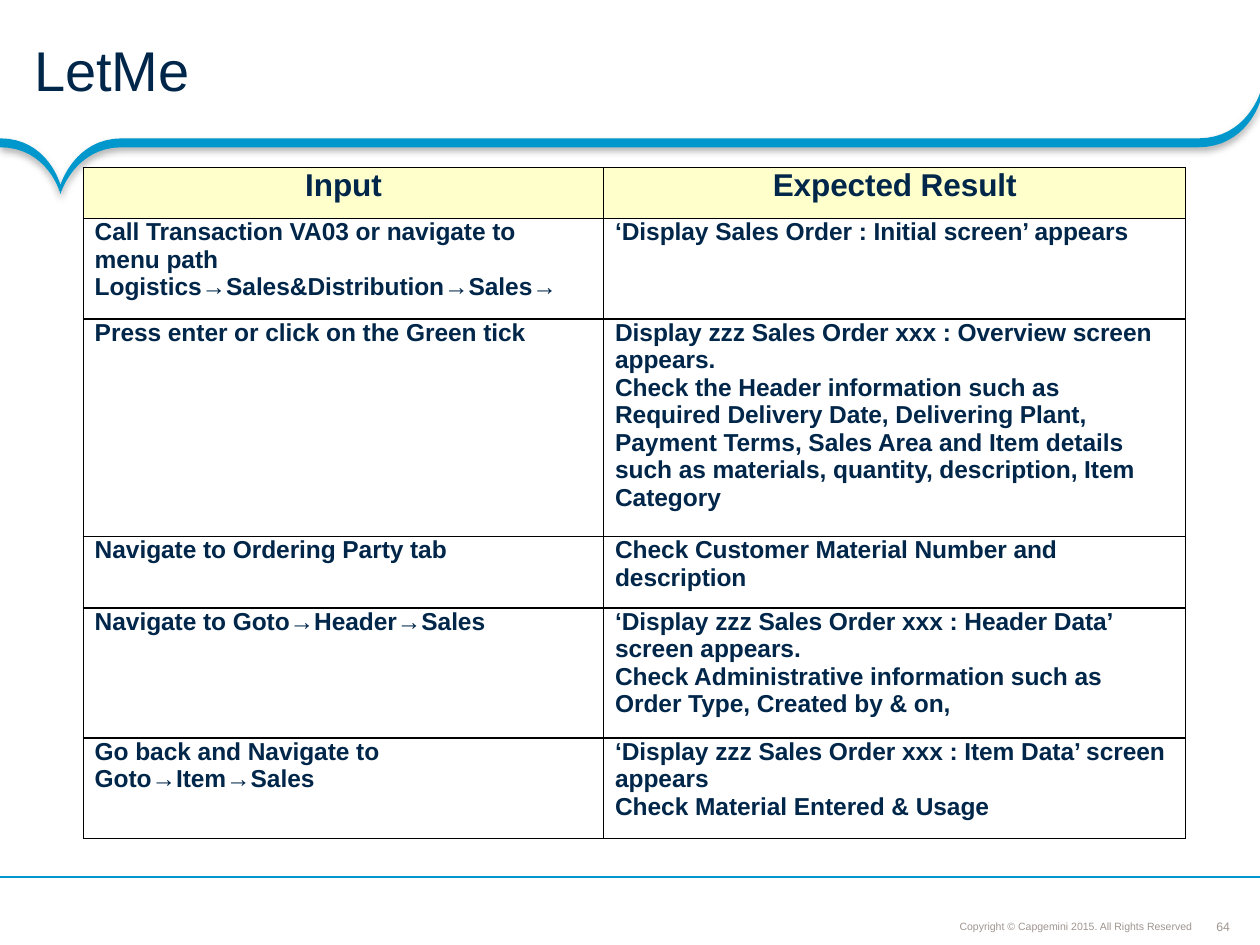
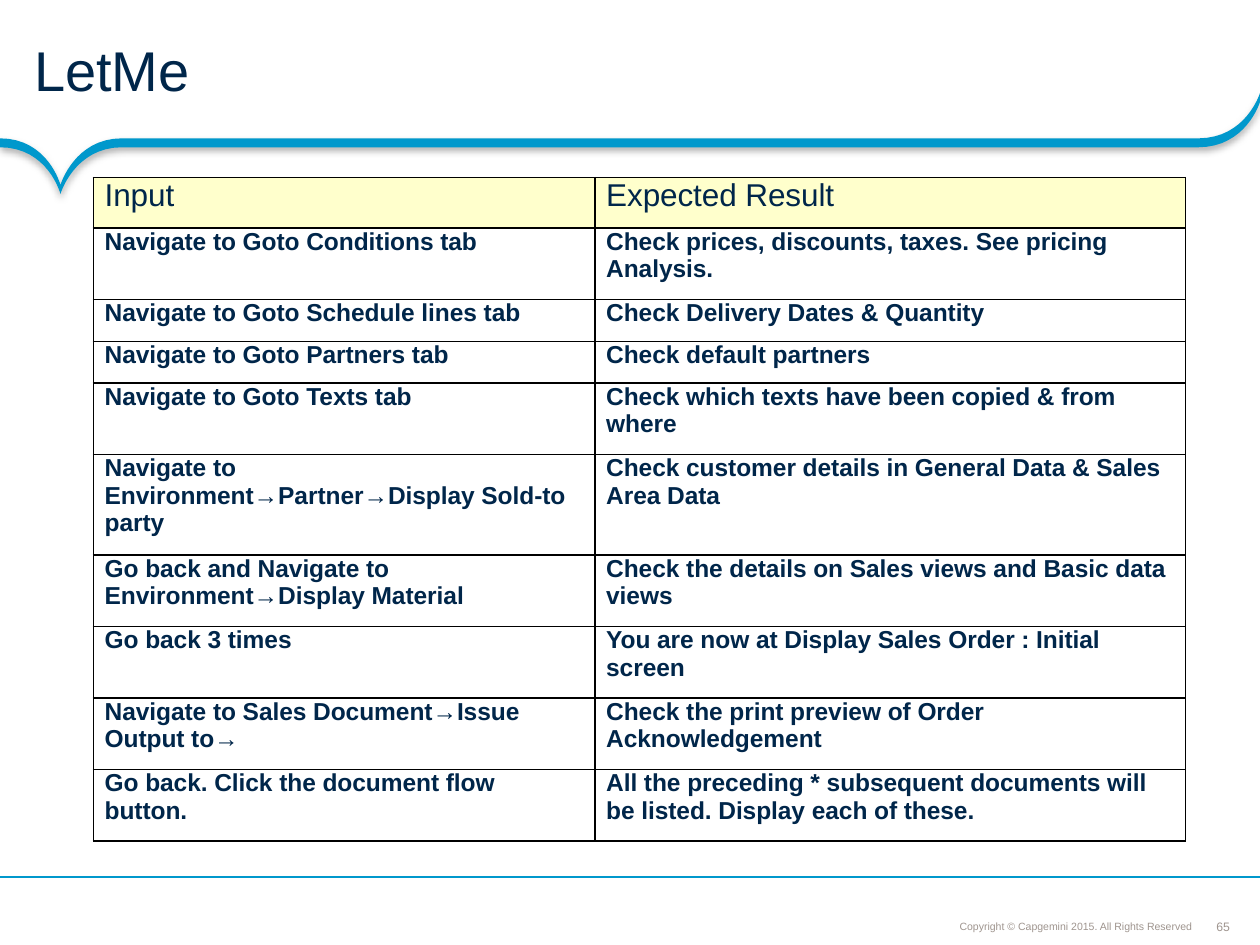
from dataclasses import dataclass

from lxml import etree
from pptx import Presentation
from pptx.dml.color import RGBColor
from pptx.enum.shapes import MSO_CONNECTOR
from pptx.enum.text import MSO_ANCHOR, PP_ALIGN
from pptx.oxml.ns import qn
from pptx.util import Cm, Pt

LEFT, CENTER, RIGHT = PP_ALIGN.LEFT, PP_ALIGN.CENTER, PP_ALIGN.RIGHT
MIDDLE, BOTTOM = MSO_ANCHOR.MIDDLE, MSO_ANCHOR.BOTTOM
STRAIGHT = MSO_CONNECTOR.STRAIGHT


@dataclass(frozen=True)
class Theme:
    font: str = "Arial"
    navy: str = "00264A"
    blue: str = "0098CC"
    grey: str = "9F958F"
    cream: str = "FFFFCC"
    black: str = "000000"
    title_size: float = 32
    header_size: float = 18
    body_size: float = 14
    number_size: float = 7
    footer_size: float = 6
    tracking: int = -5  # hundredths of a point
    border: float = 1


# Top edge of the title band, in cm: start, two controls, end of each curve
BAND_CURVES = [
    ((0, 2.79), (0.97, 2.79), (1.22, 3.73), (1.22, 3.73)),
    ((1.22, 3.73), (1.22, 3.73), (1.5, 2.79), (2.46, 2.79)),
    ((24.16, 2.79), (25.12, 2.79), (25.4, 1.88), (25.4, 1.88)),
]
BAND_THICKNESS = 0.18
CURVE_STEPS = 16


def curve_points(start, control1, control2, end):
    """Points along a cubic curve."""
    for step in range(CURVE_STEPS + 1):
        t = step / CURVE_STEPS
        weights = ((1 - t) ** 3, 3 * t * (1 - t) ** 2, 3 * t * t * (1 - t), t ** 3)
        corners = (start, control1, control2, end)
        yield tuple(sum(w * c[axis] for w, c in zip(weights, corners))
                    for axis in (0, 1))


class Deck:
    def __init__(self, theme):
        self.theme = theme
        self.prs = Presentation()
        self.prs.slide_width, self.prs.slide_height = Cm(25.4), Cm(19.05)
        self.slide = None

    def color(self, value):
        return RGBColor.from_string(value)

    # Text
    def add_text(self, paragraph, text, size, color, bold=False, align=LEFT):
        paragraph.alignment = align
        run = paragraph.add_run()
        run.text = text
        run.font.name = self.theme.font
        run.font.size = Pt(size)
        run.font.bold = bold
        run.font.color.rgb = self.color(color)
        return run

    def text_box(self, box, text, size, color, align=LEFT, anchor=MIDDLE,
                 wrap=True, margin=0, indent=0):
        frame = self.slide.shapes.add_textbox(*map(Cm, box)).text_frame
        frame.word_wrap = wrap
        frame.vertical_anchor = anchor
        frame.margin_top = frame.margin_bottom = frame.margin_right = Cm(margin)
        frame.margin_left = Cm(margin + indent)
        self.add_text(frame.paragraphs[0], text, size, color, align=align)
        return frame

    # Title band and footer rule
    def band(self):
        top = [p for curve in BAND_CURVES for p in curve_points(*curve)]
        bottom = [(x, y + BAND_THICKNESS) for x, y in reversed(top)]
        outline = [(Cm(x), Cm(y)) for x, y in top + bottom]
        builder = self.slide.shapes.build_freeform(*outline[0])
        builder.add_line_segments(outline[1:], close=True)
        band = builder.convert_to_shape()
        band.shadow.inherit = False
        band.fill.solid()
        band.fill.fore_color.rgb = self.color(self.theme.blue)
        band.line.fill.background()
        effects = band._element.spPr.find(qn("a:effectLst"))
        shadow = etree.SubElement(effects, qn("a:outerShdw"), blurRad=str(Pt(4)),
                                  dist=str(Pt(2)), dir="5400000", rotWithShape="0")
        tint = etree.SubElement(shadow, qn("a:srgbClr"), val=self.theme.black)
        etree.SubElement(tint, qn("a:alpha"), val="31000")

    def rule(self, y):
        rule = self.slide.shapes.add_connector(
            STRAIGHT, self.prs.slide_width, Cm(y), 0, Cm(y))
        rule.line.color.rgb = self.color(self.theme.blue)
        rule.line.width = Pt(0.75)
        etree.SubElement(rule._element.spPr, qn("a:effectLst"))

    # Slide frame
    def add_slide(self, title, number):
        theme = self.theme
        self.slide = self.prs.slides.add_slide(self.prs.slide_layouts[6])
        self.text_box((24.51, 18.52, 0.3, 0.3), str(number), theme.number_size,
                      theme.grey, CENTER, wrap=False)
        self.band()
        footer = self.text_box((17.3, 18.39, 6.83, 0.51),
                               "Copyright © Capgemini 2015. All Rights Reserved",
                               theme.footer_size, theme.grey, RIGHT, BOTTOM, margin=0.1)
        footer.paragraphs[0].line_spacing = 0.9
        self.rule(17.68)
        self.text_box((0, 0, 25.4, 2.79), title, theme.title_size, theme.navy,
                      indent=0.69)

    # Table
    def border_cell(self, cell):
        properties = cell._tc.get_or_add_tcPr()
        for position, side in enumerate(("a:lnL", "a:lnR", "a:lnT", "a:lnB")):
            line = etree.Element(qn(side), w=str(Pt(self.theme.border)))
            fill = etree.SubElement(line, qn("a:solidFill"))
            etree.SubElement(fill, qn("a:srgbClr"), val=self.theme.black)
            properties.insert(position, line)

    def fill_cell(self, cell, text, header, header_style):
        theme = self.theme
        cell.margin_top = cell.margin_bottom = 0
        cell.margin_left, cell.margin_right = Cm(0.23), Cm(0.38)
        if header:
            cell.fill.solid()
            cell.fill.fore_color.rgb = self.color(theme.cream)
            size, style = theme.header_size, header_style
            if style.get("align") == CENTER:
                cell.margin_right = cell.margin_left
        else:
            cell.fill.background()
            size, style = theme.body_size, {"bold": True}
        frame = cell.text_frame
        for index, line in enumerate(text.split("\n")):
            paragraph = frame.add_paragraph() if index else frame.paragraphs[0]
            run = self.add_text(paragraph, line, size, theme.navy, **style)
            run._r.get_or_add_rPr().set("spc", str(theme.tracking))
        self.border_cell(cell)

    def table(self, left, top, widths, heights, rows, header_style):
        table = self.slide.shapes.add_table(
            len(rows), len(widths), Cm(left), Cm(top),
            Cm(sum(widths)), Cm(sum(heights))).table
        table.first_row = table.horz_banding = False
        for column, width in zip(table.columns, widths):
            column.width = Cm(width)
        for row, height in zip(table.rows, heights):
            row.height = Cm(height)
        for r, texts in enumerate(rows):
            for c, text in enumerate(texts):
                self.fill_cell(table.cell(r, c), text, r == 0, header_style)


HEADER = ("Input", "Expected Result")

DISPLAY_STEPS = [
    HEADER,
    ("Call Transaction VA03 or navigate to menu path "
     "Logistics→Sales&Distribution→Sales→",
     "‘Display Sales Order : Initial screen’ appears"),
    ("Press enter or click on the Green tick",
     "Display zzz Sales Order xxx : Overview screen appears.\n"
     "Check the Header information such as Required Delivery Date, Delivering "
     "Plant, Payment Terms, Sales Area and Item details such as materials, "
     "quantity, description, Item Category"),
    ("Navigate to Ordering Party tab",
     "Check Customer Material Number and description"),
    ("Navigate to Goto→Header→Sales",
     "‘Display zzz Sales Order xxx : Header Data’ screen appears.\n"
     "Check Administrative information such as Order Type, Created by & on,"),
    ("Go back and Navigate to Goto→Item→Sales",
     "‘Display zzz Sales Order xxx : Item Data’ screen appears\n"
     "Check Material Entered & Usage"),
]

FOLLOW_UP_STEPS = [
    HEADER,
    ("Navigate to Goto Conditions tab",
     "Check prices, discounts, taxes. See pricing Analysis."),
    ("Navigate to Goto Schedule lines tab", "Check Delivery Dates & Quantity"),
    ("Navigate to Goto Partners tab", "Check default partners"),
    ("Navigate to Goto Texts tab",
     "Check which texts have been copied & from where"),
    ("Navigate to Environment→Partner→Display Sold-to party",
     "Check customer details in General Data & Sales Area Data"),
    ("Go back and Navigate to Environment→Display Material",
     "Check the details on Sales views and Basic data views"),
    ("Go back 3 times",
     "You are now at Display Sales Order : Initial screen"),
    ("Navigate to Sales Document→Issue\nOutput to→",
     "Check the print preview of Order\nAcknowledgement"),
    ("Go back. Click the document flow button.",
     "All the preceding * subsequent documents will be listed. "
     "Display each of these."),
]

# Row heights by number of text lines, in cm
HEADER_ROW, ONE_LINE, TWO_LINES, THREE_LINES = 1.02, 0.84, 1.44, 2.03


def main():
    deck = Deck(Theme())

    # Displaying the order
    deck.add_slide("LetMe", 64)
    deck.table(1.68, 3.38, (10.49, 11.73),
               (HEADER_ROW, THREE_LINES, 4.39, TWO_LINES, 2.62, THREE_LINES),
               DISPLAY_STEPS, {"bold": True, "align": CENTER})

    # Checking tabs, environment and output
    deck.add_slide("LetMe", 65)
    deck.table(1.88, 3.58, (10.11, 11.91),
               (HEADER_ROW, TWO_LINES, ONE_LINE, ONE_LINE, TWO_LINES, THREE_LINES,
                *[TWO_LINES] * 4),
               FOLLOW_UP_STEPS, {"bold": False})

    deck.prs.save("out.pptx")


if __name__ == "__main__":
    main()
